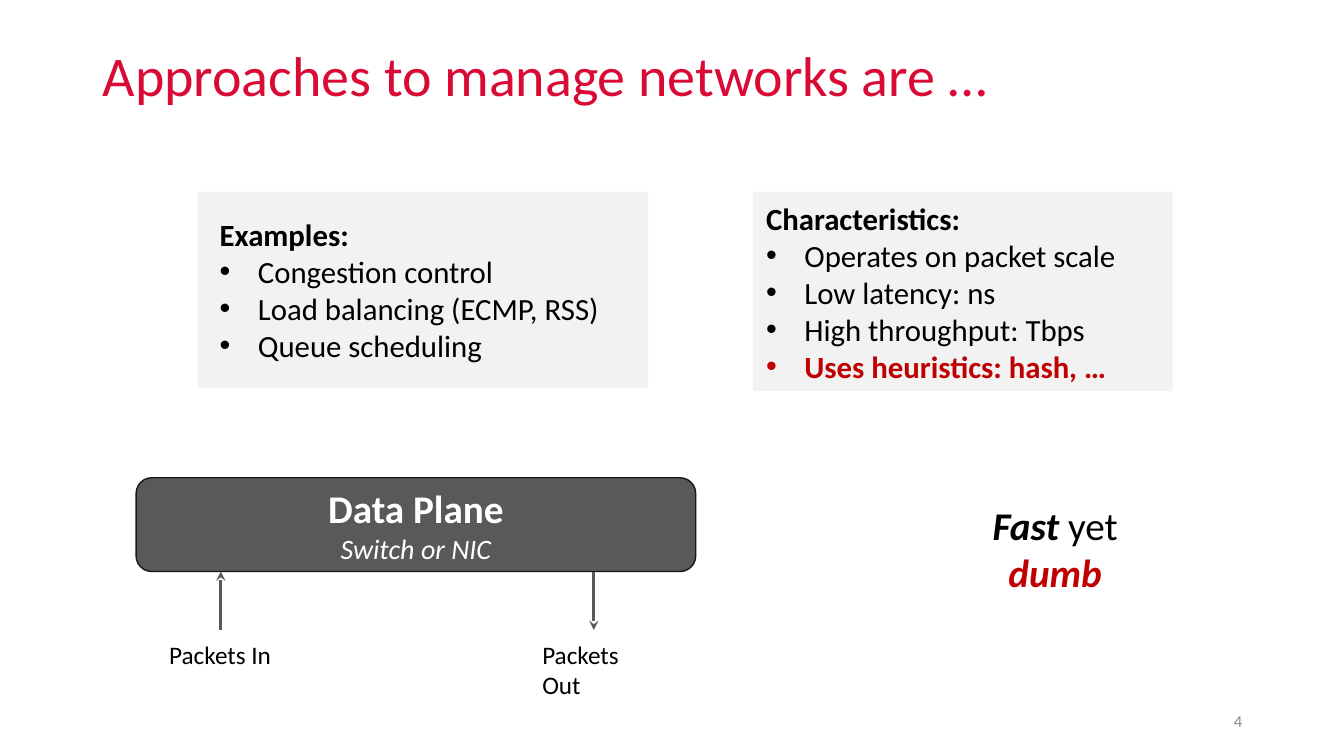
"""Builds the slide on data-plane approaches to managing networks."""
from dataclasses import dataclass

from lxml import etree
from pptx import Presentation
from pptx import util as u
from pptx.dml.color import RGBColor
from pptx.enum import shapes, text
from pptx.oxml import ns

PX = 9144
LEFT, CENTER, RIGHT = text.PP_ALIGN.LEFT, text.PP_ALIGN.CENTER, text.PP_ALIGN.RIGHT
TOP, MIDDLE = text.MSO_ANCHOR.TOP, text.MSO_ANCHOR.MIDDLE


@dataclass(frozen=True)
class Theme:
    font: str = "Calibri"
    title: str = "D90B36"
    ink: str = "000000"
    accent: str = "C00000"
    panel: str = "F2F2F2"
    plane: str = "595959"
    outline: str = "181717"
    white: str = "FFFFFF"
    muted: str = "8C8C8C"
    title_size: int = 40
    heading_size: int = 28
    body_size: int = 22
    sub_size: int = 20
    label_size: int = 18
    number_size: int = 12


T = Theme()


def px(*values):
    return [v * PX for v in values]


def style(r, size, color=T.ink, bold=False, italic=False):
    f = r.font
    f.name, f.size, f.bold, f.italic = T.font, u.Pt(size), bold, italic
    f.color.rgb = RGBColor.from_string(color)


def add_box(s, kind, box, fill, line=None):
    sp = s.shapes.add_shape(kind, *px(*box))
    sp.shadow.inherit = False
    sp.fill.solid()
    sp.fill.fore_color.rgb = RGBColor.from_string(fill)
    if line:
        sp.line.color.rgb = RGBColor.from_string(line)
        sp.line.width = u.Pt(1)
    else:
        sp.line.fill.background()
    return sp


def add_text(s, box, words, size, color=T.ink, align=LEFT, anchor=TOP):
    tf = s.shapes.add_textbox(*px(*box)).text_frame
    tf.word_wrap, tf.vertical_anchor = True, anchor
    tf.text = words
    for p in tf.paragraphs:
        p.alignment = align
        for r in p.runs:
            style(r, size, color)
    return tf


def add_bullet(p, indent=38):
    pPr = p._p.get_or_add_pPr()
    pPr.set("marL", str(indent * PX))
    pPr.set("indent", str(-indent * PX))
    etree.SubElement(pPr, ns.qn("a:buFont")).set("typeface", "Arial")
    etree.SubElement(pPr, ns.qn("a:buChar")).set("char", "•")


def add_list(s, box, heading, items):
    tf = add_text(s, box, "\n".join([heading, *items]), T.body_size)
    tf.paragraphs[0].runs[0].font.bold = True
    for p in tf.paragraphs[1:]:
        add_bullet(p)
    return tf


def add_arrow(s, x, top, bottom, end):
    c = s.shapes.add_connector(shapes.MSO_CONNECTOR.STRAIGHT, *px(x, top, x, bottom))
    c.line.color.rgb = RGBColor.from_string(T.plane)
    c.line.width = u.Pt(2.25)
    etree.SubElement(c.line._get_or_add_ln(), ns.qn(f"a:{end}")).set("type", "stealth")
    etree.SubElement(c._element.spPr, ns.qn("a:effectLst"))


def add_data_plane(s):
    sp = add_box(s, shapes.MSO_SHAPE.ROUNDED_RECTANGLE, (135, 474, 555, 93), T.plane, T.outline)
    tf = sp.text_frame
    tf.vertical_anchor = MIDDLE
    tf.text = "Data Plane\nSwitch or NIC"
    name, place = tf.paragraphs
    name.alignment = place.alignment = CENTER
    style(name.runs[0], T.heading_size, T.white, bold=True)
    style(place.runs[0], T.sub_size, T.white, italic=True)


def add_verdict(s):
    p = add_text(s, (925, 492, 243, 57), "Fast", T.heading_size, align=CENTER).paragraphs[0]
    style(p.runs[0], T.heading_size, bold=True, italic=True)
    for words, color, strong in ((" yet ", T.ink, False), ("dumb", T.accent, True)):
        r = p.add_run()
        r.text = words
        style(r, T.heading_size, color, strong, strong)


def main():
    prs = Presentation()
    prs.slide_width, prs.slide_height = px(1333, 750)
    s = prs.slides.add_slide(prs.slide_layouts[6])

    for panel in ((747, 190, 416, 198), (196, 190, 447, 195)):
        add_box(s, shapes.MSO_SHAPE.RECTANGLE, panel, T.panel)
    title = add_text(s, (92, 40, 1150, 75), "Approaches to manage networks are …",
                     T.title_size, T.title, anchor=MIDDLE)
    title.paragraphs[0].line_spacing = 0.9

    add_data_plane(s)
    add_verdict(s)
    add_list(s, (208, 209, 425, 195), "Examples:",
             ["Congestion control", "Load balancing (ECMP, RSS)", "Queue scheduling"])
    traits = add_list(s, (750, 193, 409, 195), "Characteristics:",
                      ["Operates on packet scale", "Low latency: ns",
                       "High throughput: Tbps", "Uses heuristics: hash, …"])
    style(traits.paragraphs[-1].runs[0], T.body_size, T.accent, bold=True)

    for x, end, left, width, label in ((219, "headEnd", 158, 122, "Packets In"),
                                       (589, "tailEnd", 528, 139, "Packets Out")):
        add_arrow(s, x, 567, 625, end)
        add_text(s, (left, 629, width, 40), label, T.label_size)
    add_text(s, (942, 695, 300, 40), "4", T.number_size, T.muted, RIGHT, MIDDLE)
    prs.save("out.pptx")


if __name__ == "__main__":
    main()
